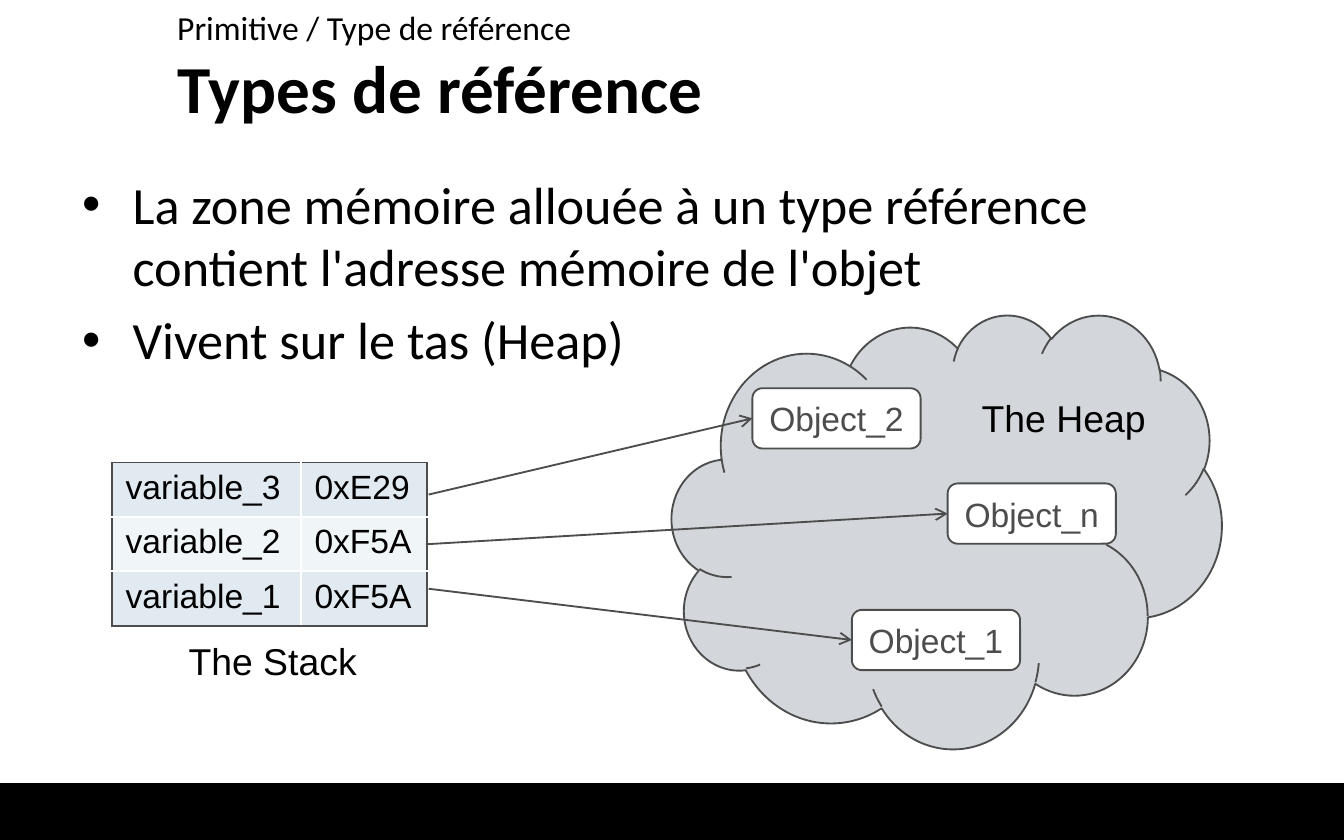
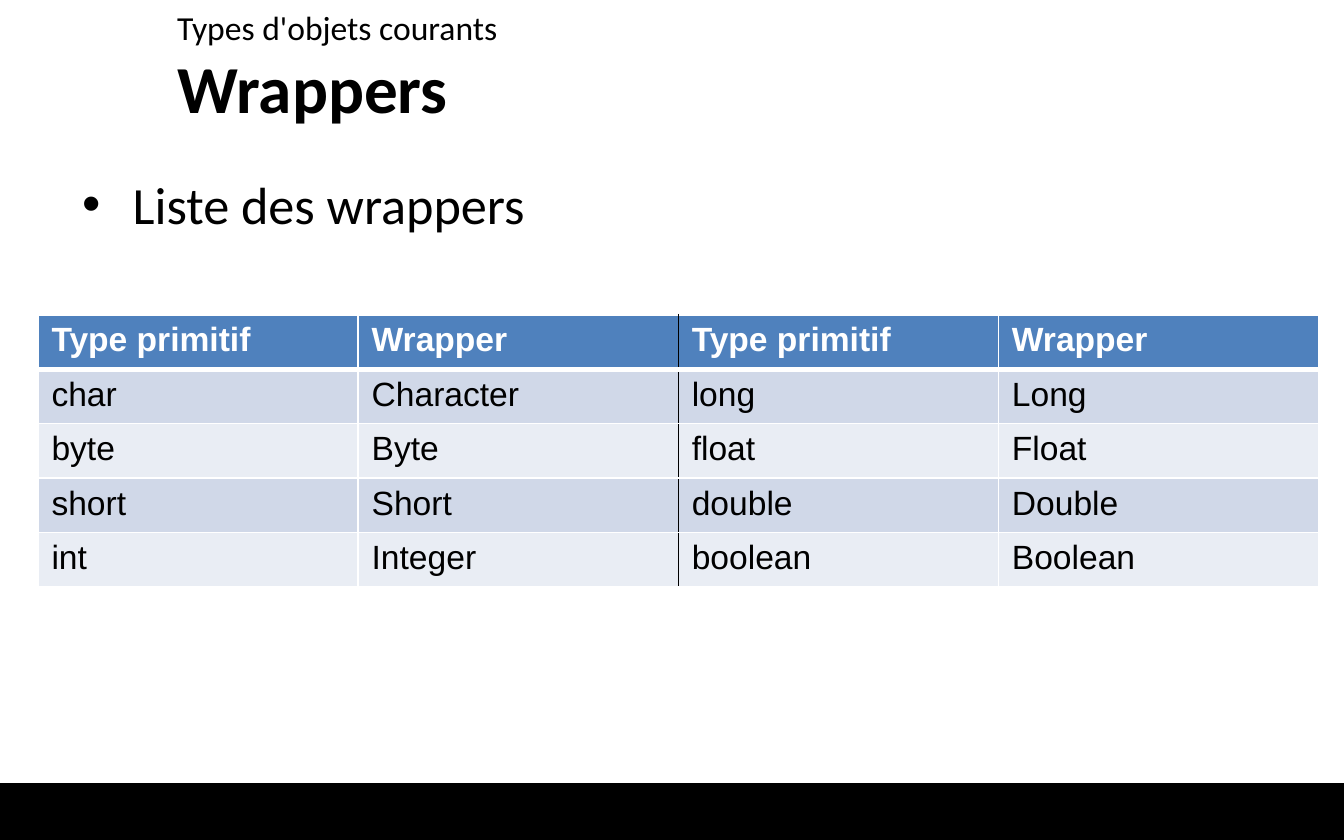
"""Build two slides on Java reference types and wrapper classes."""
from lxml.etree import SubElement as Sub
from pptx import Presentation
from pptx.dml.color import RGBColor
from pptx.enum.shapes import MSO_CONNECTOR as Connector, MSO_SHAPE as Preset
from pptx.enum.text import MSO_ANCHOR as Anchor, MSO_AUTO_SIZE as AutoSize, PP_ALIGN as Align
from pptx.oxml.ns import qn
from pptx.util import Cm, Pt

COLORS = {
    "black": "000000", "white": "FFFFFF", "outline": "4D4D4D", "heap": "D3D7DB",
    "stack_dark": "E1E9F1", "stack_light": "F0F5F8",
    "header": "4F81BD", "band_dark": "D0D8E8", "band_light": "E9EDF4",
}
COLORS_RGB = {name: RGBColor.from_string(value) for name, value in COLORS.items()}


def format_text(text_frame, size, font_name, color="black", bold=False, align=Align.LEFT):
    for paragraph in text_frame.paragraphs:
        paragraph.alignment = align
        for run in paragraph.runs:
            run.font.size = Pt(size)
            run.font.name = font_name
            run.font.bold = bold
            run.font.color.rgb = COLORS_RGB[color]


def add_grid(slide, rows, left, top, widths, bands, outline, header=None, divider=None):
    row_height = Cm(1.03)
    frame = slide.shapes.add_table(len(rows), len(widths), Cm(left), Cm(top),
                                   Cm(sum(widths)), row_height * len(rows))
    table = frame.table
    table.first_row = header is not None
    table.horz_banding = False
    for column, width in zip(table.columns, widths):
        column.width = Cm(width)
    for r, row in enumerate(rows):
        table.rows[r].height = row_height
        is_header = header is not None and r == 0
        for c, text in enumerate(row):
            cell = table.cell(r, c)
            cell.text_frame.text = text
            format_text(cell.text_frame, 18, "Arial", "white" if is_header else "black", is_header)
            borders = {
                "a:lnL": outline if c == 0 else "black" if c == divider else "white",
                "a:lnR": outline if c == len(row) - 1 else "black" if c + 1 == divider else "white",
                "a:lnT": outline if r == 0 else "white",
                "a:lnB": outline if r == len(rows) - 1 else "white",
            }
            properties = cell._tc.get_or_add_tcPr()
            for tag, color in borders.items():
                width = Pt(3 if is_header and tag == "a:lnB" else 1)
                line = Sub(properties, qn(tag), w=str(width))
                Sub(Sub(line, qn("a:solidFill")), qn("a:srgbClr"), val=COLORS[color])
            cell.fill.solid()
            cell.fill.fore_color.rgb = COLORS_RGB[header if is_header else bands[r % 2]]


presentation = Presentation()
presentation.slide_width = Cm(25.4)
presentation.slide_height = Cm(15.88)

contents = [
    ("Primitive / Type de référence", "Types de référence",
     ["La zone mémoire allouée à un type référence contient l'adresse mémoire de l'objet",
      "Vivent sur le tas (Heap)"]),
    ("Types d'objets courants", "Wrappers", ["Liste des wrappers"]),
]
for kicker, title, bullets in contents:
    slide = presentation.slides.add_slide(presentation.slide_layouts[1])

    band = slide.shapes.add_shape(Preset.RECTANGLE, 0, Cm(14.81), Cm(25.4), Cm(1.07))
    band.shadow.inherit = False
    band.fill.solid()
    band.fill.fore_color.rgb = COLORS_RGB["black"]
    band.line.color.rgb = COLORS_RGB["black"]
    band.line.width = Pt(0.75)

    title_shape, body = slide.placeholders
    title_shape.left, title_shape.top = Cm(3.1), Cm(0.94)
    title_shape.width, title_shape.height = Cm(21.59), Cm(1.4)
    title_shape.text_frame.text = title
    title_shape.text_frame.auto_size = AutoSize.NONE
    title_shape.text_frame.vertical_anchor = Anchor.MIDDLE
    format_text(title_shape.text_frame, 36, "Calibri", bold=True)

    body.left, body.top, body.width, body.height = Cm(1.3), Cm(3.12), Cm(23.01), Cm(11.76)
    body.text_frame.text = "\n".join(bullets)
    body.text_frame.auto_size = AutoSize.NONE
    format_text(body.text_frame, 28, "Calibri")
    for position, paragraph in enumerate(body.text_frame.paragraphs):
        paragraph.space_before = Pt(5.6 if position else 0)

    kicker_box = slide.shapes.add_textbox(Cm(3.1), 0, Cm(21.62), Cm(0.94))
    kicker_box.text_frame.word_wrap = True
    kicker_box.text_frame.text = kicker
    format_text(kicker_box.text_frame, 18, "Calibri")

memory_slide, wrapper_slide = presentation.slides

stack_rows = [("variable_3", "0xE29"), ("variable_2", "0xF5A"), ("variable_1", "0xF5A")]
add_grid(memory_slide, stack_rows, 2.12, 8.74, [3.57, 2.38],
         ["stack_dark", "stack_light"], "outline")

heap = memory_slide.shapes.add_group_shape()
cloud = heap.shapes.add_shape(Preset.CLOUD, Cm(12.7), Cm(5.94), Cm(10.39), Cm(8.2))
heap_objects = [
    ("Object_2", 14.22, 7.34, 8.1, 9.35),
    ("Object_n", 17.91, 9.14, 8.05, 10.29),
    ("Object_1", 16.1, 11.53, 8.1, 11.13),
]
boxes = [heap.shapes.add_shape(Preset.ROUNDED_RECTANGLE, Cm(left), Cm(top), Cm(3.18), Cm(1.14))
         for _, left, top, _, _ in heap_objects]
for shape in [cloud, *boxes]:
    shape.shadow.inherit = False
    shape.fill.solid()
    shape.fill.fore_color.rgb = COLORS_RGB["heap" if shape is cloud else "white"]
    shape.line.color.rgb = COLORS_RGB["outline"]
    shape.line.width = Pt(1)

for box, (name, _, _, start_x, start_y) in zip(boxes, heap_objects):
    box.text_frame.text = name
    box.text_frame.word_wrap = False
    box.text_frame.vertical_anchor = Anchor.MIDDLE
    format_text(box.text_frame, 18, "Arial", "outline", align=Align.CENTER)

    arrow = memory_slide.shapes.add_connector(
        Connector.STRAIGHT, Cm(start_x), Cm(start_y), box.left, box.top + box.height // 2)
    arrow.end_connect(box, 1)
    arrow.line.color.rgb = COLORS_RGB["outline"]
    arrow.line.width = Pt(1)
    Sub(arrow.line._get_or_add_ln(), qn("a:tailEnd"), type="arrow")
    Sub(arrow._element.spPr, qn("a:effectLst"))

labels = [(memory_slide.shapes, "The Stack", 3.3, 11.94, 3.71),
          (heap.shapes, "The Heap", 18.29, 7.34, 3.63)]
for shapes, text, left, top, width in labels:
    label = shapes.add_textbox(Cm(left), Cm(top), Cm(width), Cm(1.12))
    label.text_frame.text = text
    label.text_frame.word_wrap = False
    format_text(label.text_frame, 20, "Arial", align=Align.CENTER)

wrapper_rows = [
    ("Type primitif", "Wrapper", "Type primitif", "Wrapper"),
    ("char", "Character", "long", "Long"),
    ("byte", "Byte", "float", "Float"),
    ("short", "Short", "double", "Double"),
    ("int", "Integer", "boolean", "Boolean"),
]
add_grid(wrapper_slide, wrapper_rows, 0.72, 5.95, [6.05] * 4,
         ["band_light", "band_dark"], "white", header="header", divider=2)

presentation.save("out.pptx")
